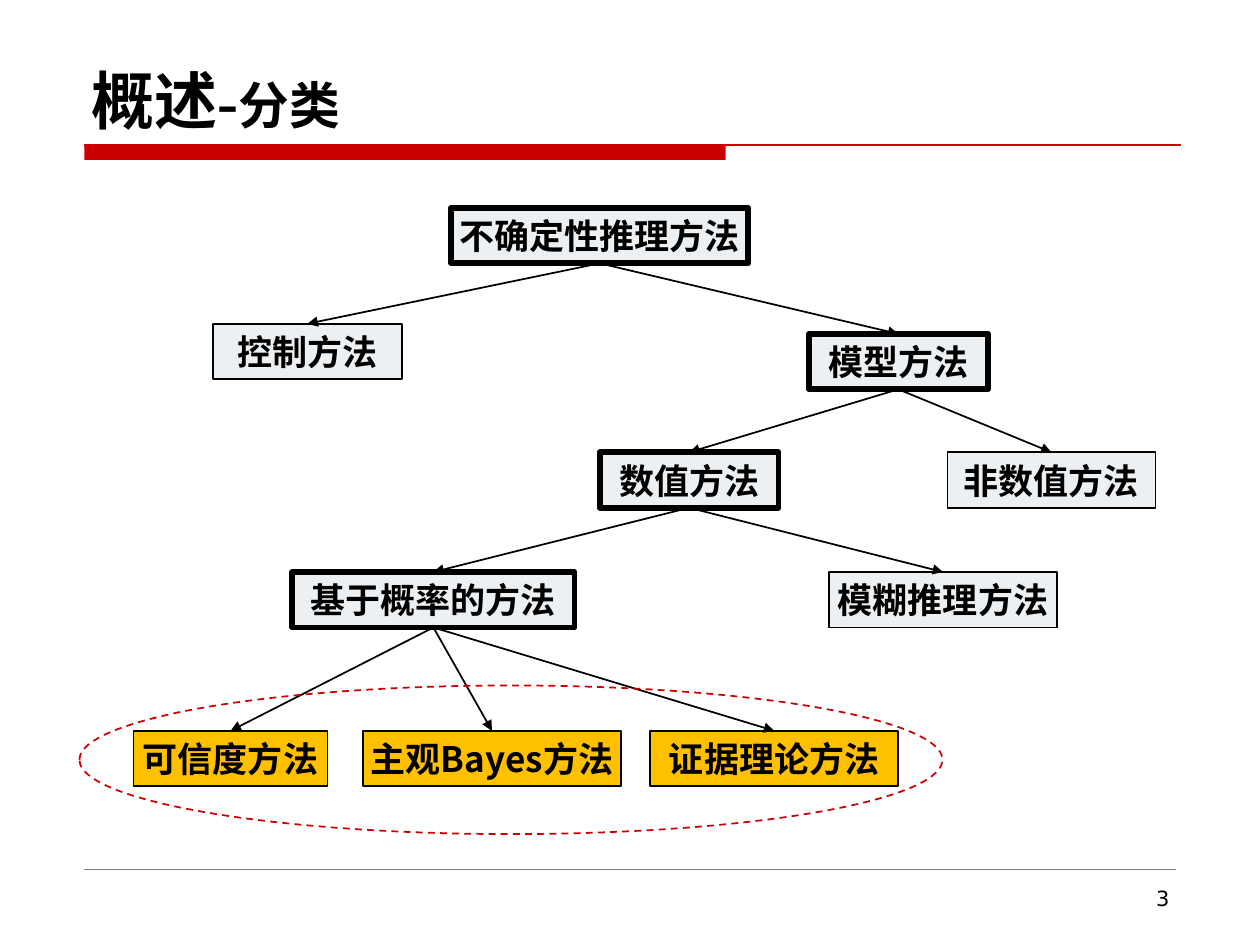
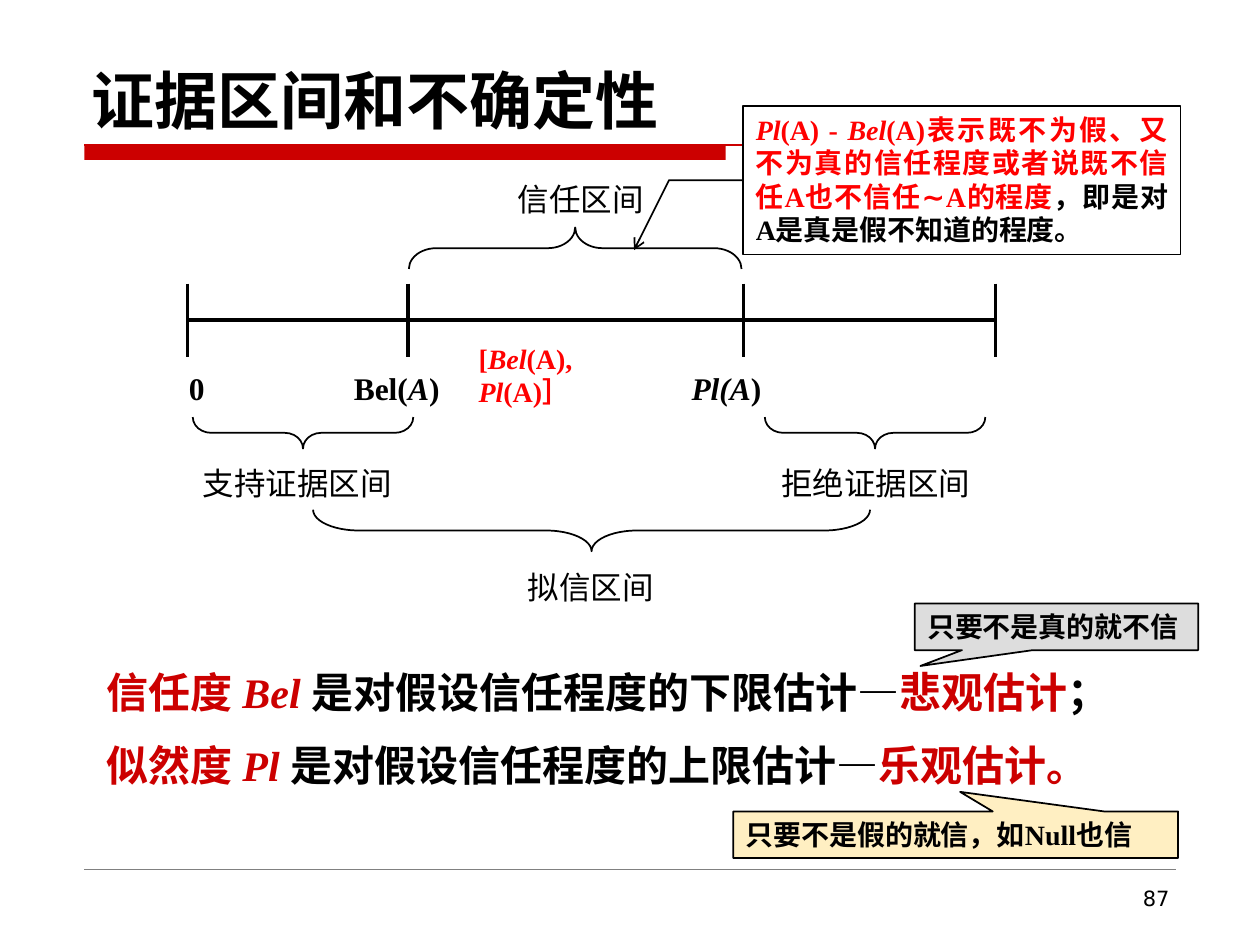
from lxml import etree
from pptx import Presentation
from pptx import util as u
from pptx.dml.color import RGBColor
from pptx.enum import dml, shapes, text
from pptx.oxml.ns import qn

# The slide is a grid of 100 columns by 75 rows.
COLUMNS, ROWS = 100, 75
CELL = u.Inches(0.1)

BLACK = RGBColor(0x00, 0x00, 0x00)
WHITE = RGBColor(0xFF, 0xFF, 0xFF)
CRIMSON = RGBColor(0xCC, 0x00, 0x00)
RED = RGBColor(0xFF, 0x00, 0x00)
GRAY = RGBColor(0x80, 0x80, 0x80)
SILVER = RGBColor(0xDD, 0xDD, 0xDD)
PALE = RGBColor(0xED, 0xF0, 0xF3)
AMBER = RGBColor(0xFF, 0xC0, 0x00)

SERIF = "Times New Roman"
SANS = "Noto Sans CJK SC"
NUMBER_FONT = "DejaVu Sans"

NODE_HEIGHT = 4.4
TOP, BOTTOM = 0, 2  # connection sites of a rectangle

# name: (left, top, width, border, fill)
METHODS = {
    "不确定性推理方法": (35.8, 16.5, 23.6, 3.25, PALE),
    "控制方法": (16.9, 25.7, 15, 1, PALE),
    "模型方法": (64.2, 26.5, 14.2, 3.5, PALE),
    "数值方法": (47.6, 35.9, 14.2, 3.25, PALE),
    "非数值方法": (75.2, 35.9, 16.5, 1, PALE),
    "基于概率的方法": (23.2, 45.4, 22.4, 3.25, PALE),
    "模糊推理方法": (65.8, 45.4, 18.1, 1, PALE),
    "可信度方法": (10.6, 58, 15.4, 1, AMBER),
    "主观Bayes方法": (28.8, 58, 20.5, 1, AMBER),
    "证据理论方法": (51.6, 58, 19.7, 1, AMBER),
}
SUBMETHODS = {
    "不确定性推理方法": ("控制方法", "模型方法"),
    "模型方法": ("数值方法", "非数值方法"),
    "数值方法": ("基于概率的方法", "模糊推理方法"),
    "基于概率的方法": ("可信度方法", "主观Bayes方法", "证据理论方法"),
}


def cells(*counts):
    return [round(count * CELL) for count in counts]


def write(paragraph, runs, size, bold=False, font=SERIF, color=BLACK,
          align=text.PP_ALIGN.LEFT):
    """Fill a paragraph with strings or (string, overrides) pairs."""
    paragraph.alignment = align
    paragraph.font.size = u.Pt(size)
    paragraph.font.bold = bold
    paragraph.font.color.rgb = color
    paragraph.font.name = font
    etree.SubElement(paragraph.font._rPr, qn("a:ea"), typeface=SANS)
    if font == SERIF:
        paragraph.line_spacing = u.Pt(size * 1.2)
    for item in [runs] if isinstance(runs, str) else runs:
        content, changes = (item, {}) if isinstance(item, str) else item
        run = paragraph.add_run()
        run.text = content
        if "italic" in changes:
            run.font.italic = changes["italic"]
        if "size" in changes:
            run.font.size = u.Pt(changes["size"])
        if "color" in changes:
            run.font.color.rgb = changes["color"]


def italic(content, **changes):
    return content, {"italic": True, **changes}


def add_label(slide, box, runs, size, **style):
    frame = slide.shapes.add_textbox(*cells(*box)).text_frame
    frame.word_wrap = True
    write(frame.paragraphs[0], runs, size, **style)
    return frame


def add_shape(slide, kind, box, fill=None, line=BLACK, width=1, adjustments=()):
    shape = slide.shapes.add_shape(kind, *cells(*box))
    shape.shadow.inherit = False
    if fill is None:
        shape.fill.background()
    else:
        shape.fill.solid()
        shape.fill.fore_color.rgb = fill
    shape.line.color.rgb = line
    shape.line.width = u.Pt(width)
    for index, value in enumerate(adjustments):
        shape.adjustments[index] = value
    return shape


def add_line(slide, start=(0, 0), end=(0, 0), color=BLACK, width=1.0):
    line = slide.shapes.add_connector(
        shapes.MSO_CONNECTOR.STRAIGHT, *cells(*start, *end))
    line.line.color.rgb = color
    line.line.width = u.Pt(width)
    etree.SubElement(line._element.spPr, qn("a:effectLst"))
    return line


def add_arrowhead(shape, kind):
    etree.SubElement(shape.line._get_or_add_ln(), qn("a:tailEnd"), type=kind)


def add_brace(slide, center, length, depth, bend, rotation):
    """Draw a horizontal brace: a left brace turned about its center."""
    x, y = center
    brace = add_shape(slide, shapes.MSO_SHAPE.LEFT_BRACE,
                      (x - depth / 2, y - length / 2, depth, length),
                      adjustments=(bend, 0.5))
    brace.rotation = rotation


def add_callout(slide, kind, box, fill, adjustments, runs,
                align=text.PP_ALIGN.LEFT):
    callout = add_shape(slide, kind, box, fill, adjustments=adjustments)
    frame = callout.text_frame
    frame.word_wrap = True
    frame.vertical_anchor = text.MSO_ANCHOR.TOP
    write(frame.paragraphs[0], runs, 16, bold=True, align=align)
    return callout


def add_titled_slide(presentation, title_runs, number, title_font):
    slide = presentation.slides.add_slide(presentation.slide_layouts[5])
    title = slide.shapes.title
    title.left, title.top, title.width, title.height = cells(6.3, 1.9, 87.5, 9)
    frame = title.text_frame
    frame.vertical_anchor = text.MSO_ANCHOR.BOTTOM
    frame.margin_bottom = 0
    write(frame.paragraphs[0], title_runs, 36, bold=True, font=title_font)
    frame.paragraphs[0].line_spacing = 1.0

    band = add_shape(slide, shapes.MSO_SHAPE.RECTANGLE,
                     (6.7, 11.5, 50.9, 1.2), CRIMSON)
    band.line.fill.background()
    add_line(slide, (6.7, 11.5), (93.7, 11.5), CRIMSON, 0.75)
    add_line(slide, (6.7, 69), (93.3, 69), GRAY, 0.25)
    add_label(slide, (83.9, 69.8, 9.9, 3.7), number, 12, font=NUMBER_FONT,
              align=text.PP_ALIGN.RIGHT)
    return slide


def add_method(slide, name):
    left, top, width, border, fill = METHODS[name]
    node = add_shape(slide, shapes.MSO_SHAPE.RECTANGLE,
                     (left, top, width, NODE_HEIGHT), fill, width=border)
    frame = node.text_frame
    frame.word_wrap = False
    frame.vertical_anchor = text.MSO_ANCHOR.MIDDLE
    write(frame.paragraphs[0], name, 20, bold=True, font=SANS,
          align=text.PP_ALIGN.CENTER)
    return node


def build_classification(presentation):
    slide = add_titled_slide(
        presentation, ["概述-", ("分类", {"size": 29})], "3", SERIF)
    nodes = {name: add_method(slide, name) for name in METHODS}
    for parent, children in SUBMETHODS.items():
        for child in children:
            arrow = add_line(slide)
            arrow.begin_connect(nodes[parent], BOTTOM)
            arrow.end_connect(nodes[child], TOP)
            add_arrowhead(arrow, "triangle")
    focus = add_shape(slide, shapes.MSO_SHAPE.OVAL, (6.3, 54.4, 68.5, 11.8),
                      line=CRIMSON)
    focus.line.dash_style = dml.MSO_LINE.DASH


def add_evidence_axis(slide):
    axis, tick = 25.4, 2.9
    ticks = (14.9, 32.4, 59, 79)
    add_line(slide, (ticks[0], axis), (ticks[-1], axis), width=2)
    for x in ticks:
        add_line(slide, (x, axis - tick), (x, axis + tick), width=2)

    values = ((14, "0"), (27.1, ["Bel(", italic("A"), ")"]),
              (53.9, [italic("Pl(A"), ")"]))
    for left, runs in values:
        add_label(slide, (left, 28.8, 10, 4), runs, 18, bold=True)
    add_label(slide, (37, 26.6, 14, 6.2),
              ["[", italic("Bel"), "(A), ", italic("Pl"), "(A)］"],
              16, bold=True, color=RED)

    # center, length, depth, bend, rotation
    braces = (((45.65, 19.7), 26.4, 3.3, 0.66, 90),
              ((24.05, 34.35), 17.5, 2.5, 0.58, 270),
              ((69.45, 34.35), 17.5, 2.5, 0.58, 270),
              ((46.95, 42.1), 44.2, 3.3, 1.1, 270))
    for brace in braces:
        add_brace(slide, *brace)

    intervals = (("信任区间", 38.2, 13.8, 15.8), ("支持证据区间", 14, 36.3, 19.2),
                 ("拒绝证据区间", 59.9, 36.3, 19.2), ("拟信区间", 39, 44.6, 15.8))
    for name, left, top, width in intervals:
        add_label(slide, (left, top, width, 4), name, 18,
                  align=text.PP_ALIGN.CENTER)


def add_estimates(slide):
    red = {"color": CRIMSON}
    belief = [("信任度 ", red), italic("Bel ", **red),
              "是对假设信任程度的下限估计—", ("悲观估计", red), "；"]
    plausibility = [("似然度 ", red), italic("Pl ", **red),
                    "是对假设信任程度的上限估计—", ("乐观估计。", red)]
    frame = add_label(slide, (7.5, 52.4, 86.2, 11.1), belief, 24, bold=True)
    second = frame.add_paragraph()
    write(second, plausibility, 24, bold=True)
    second.space_before = u.Pt(13)


def build_evidence_interval(presentation):
    slide = add_titled_slide(presentation, "证据区间和不确定性", "87", SANS)
    add_estimates(slide)
    add_evidence_axis(slide)

    red = {"color": RED}
    gap = add_callout(
        slide, shapes.MSO_SHAPE.LINE_CALLOUT_2, (59, 8.4, 34.7, 11.8), WHITE,
        (0.5, 0, 0.5, -0.17, 0.97, -0.25),
        [italic("Pl", **red), ("(A) - ", red), italic("Bel", **red),
         ("(A)表示既不为假、又不为真的信任程度或者说既不信任A也不信任∼A的程度", red),
         "，即是对A是真是假不知道的程度。"],
        align=text.PP_ALIGN.JUSTIFY)
    add_arrowhead(gap, "arrow")
    wedge = shapes.MSO_SHAPE.RECTANGULAR_CALLOUT
    add_callout(slide, wedge, (72.6, 47.9, 22.5, 3.7), SILVER,
                (-0.48, 0.84), "只要不是真的就不信")
    optimist = add_callout(slide, wedge, (58.2, 64.4, 35.3, 3.7), AMBER,
                           (0.01, -0.92), "只要不是假的就信，如Null也信")
    fill_color = optimist._element.spPr.find(qn("a:solidFill"))[0]
    etree.SubElement(fill_color, qn("a:alpha"), val="24000")


def main():
    presentation = Presentation()
    presentation.slide_width = COLUMNS * CELL
    presentation.slide_height = ROWS * CELL
    build_classification(presentation)
    build_evidence_interval(presentation)
    presentation.save("out.pptx")


if __name__ == "__main__":
    main()
